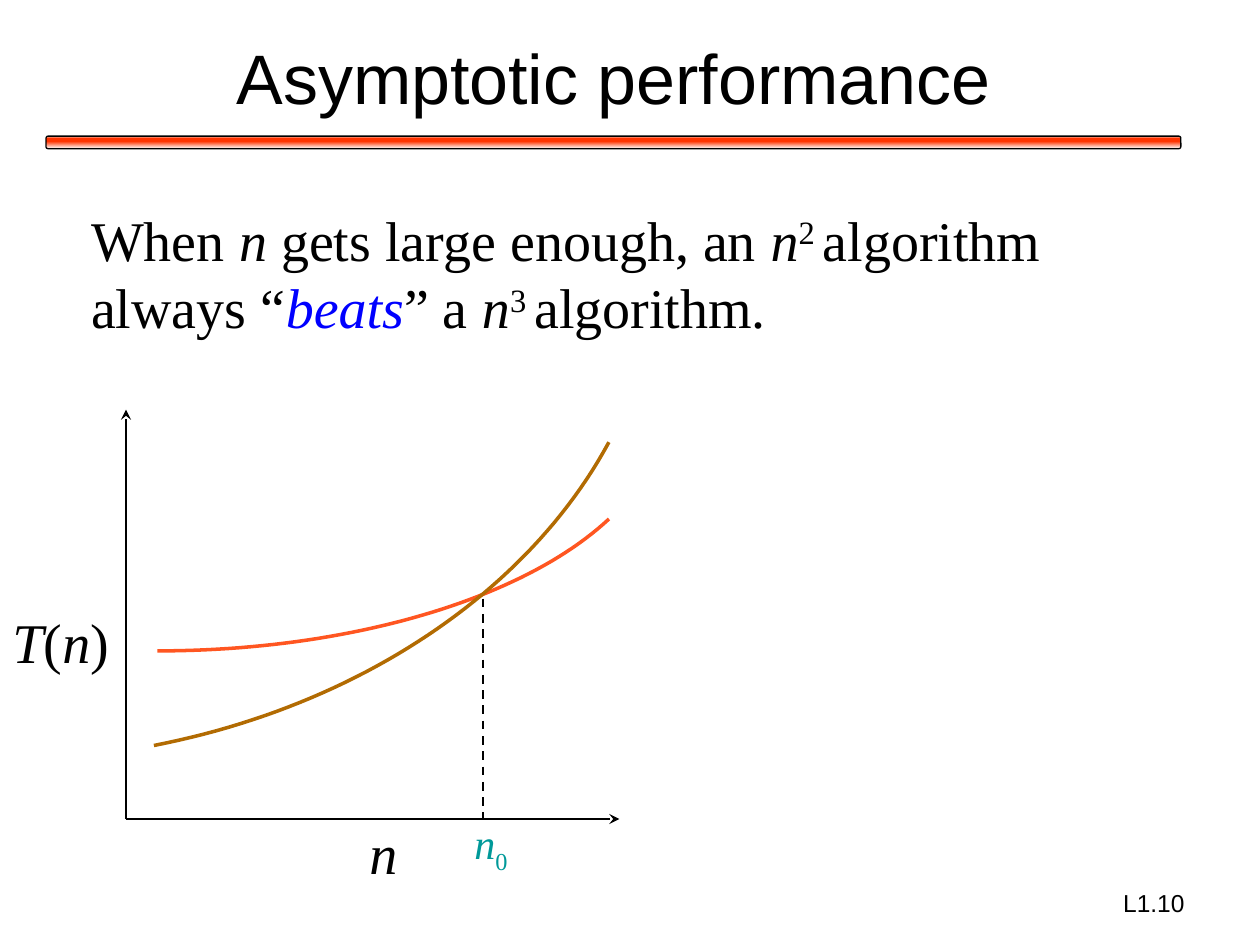
from dataclasses import dataclass

from lxml.etree import SubElement
from pptx import Presentation
from pptx.dml.color import RGBColor
from pptx.enum.dml import MSO_LINE
from pptx.enum.shapes import MSO_CONNECTOR, MSO_SHAPE
from pptx.enum.text import MSO_ANCHOR, PP_ALIGN
from pptx.oxml.ns import qn
from pptx.util import Pt


@dataclass(frozen=True)
class Theme:
    sans: str = "Arial"
    serif: str = "Times New Roman"
    ink: str = "000000"
    blue: str = "0000FF"
    teal: str = "009999"
    slow: str = "FF5621"
    fast: str = "B26B02"
    bar: tuple = ((0, "FFFFFF"), (16, "FF3300"), (42, "FF3300"), (100, "FFFFFF"))
    head: int = 40
    body: int = 32
    mark: int = 24
    foot: int = 14
    axis: float = 1.25
    curve: float = 2


THEME = Theme()
ITALIC = {"italic": True}
SUPER = {"base": 30}
SUB = {"base": -25}


def add_text(slide, box, runs, size, font=THEME.serif, color=THEME.ink,
             align=PP_ALIGN.LEFT, anchor=MSO_ANCHOR.TOP, wrap=True):
    """Place one paragraph; each run is a text and its format values."""
    frame = slide.shapes.add_textbox(*map(Pt, box)).text_frame
    frame.word_wrap = wrap
    frame.vertical_anchor = anchor
    para = frame.paragraphs[0]
    para.alignment = align
    for text, extra in runs:
        form = {"name": font, "size": Pt(size), "italic": False,
                "color": color, "base": 0, **extra}
        tint, base = form.pop("color"), form.pop("base")
        run = para.add_run()
        run.text = text
        for key, value in form.items():
            setattr(run.font, key, value)
        run.font.color.rgb = RGBColor.from_string(tint)
        if base:
            run.font._element.set("baseline", str(base * 1000))


def style_line(shape, color, width):
    shape.line.color.rgb = RGBColor.from_string(color)
    shape.line.width = Pt(width)


def add_line(slide, start, end, arrow=False, dash=False):
    line = slide.shapes.add_connector(
        MSO_CONNECTOR.STRAIGHT, *map(Pt, (*start, *end)))
    style_line(line, THEME.ink, THEME.axis)
    if dash:
        line.line.dash_style = MSO_LINE.DASH
    if arrow:
        SubElement(line.line._get_or_add_ln(), qn("a:tailEnd"), type="stealth")
    SubElement(line._element.spPr, qn("a:effectLst"))


def add_curve(slide, knots, color, steps=48):
    """Trace a cubic curve through short, equal steps of its parameter."""
    points = []
    for step in range(steps + 1):
        t = step / steps
        weights = ((1 - t) ** 3, 3 * t * (1 - t) ** 2, 3 * t * t * (1 - t), t ** 3)
        points.append(tuple(
            Pt(sum(w * k for w, k in zip(weights, axis))) for axis in zip(*knots)))
    path = slide.shapes.build_freeform(*points[0])
    path.add_line_segments(points[1:], close=False)
    shape = path.convert_to_shape()
    shape.shadow.inherit = False
    shape.fill.background()
    style_line(shape, color, THEME.curve)


def add_bar(slide, box):
    bar = slide.shapes.add_shape(MSO_SHAPE.ROUNDED_RECTANGLE, *map(Pt, box))
    bar.shadow.inherit = False
    bar.fill.gradient()
    bar.fill.gradient_angle = 270
    stops = bar._element.spPr.find(qn("a:gradFill")).find(qn("a:gsLst"))
    for stop in list(stops):
        stops.remove(stop)
    for place, color in THEME.bar:
        stop = SubElement(stops, qn("a:gs"), pos=str(place * 1000))
        SubElement(stop, qn("a:srgbClr"), val=color)
    style_line(bar, THEME.ink, 0.75)


def add_header(slide, box):
    left, top, width, height = box
    add_bar(slide, (left, top + height - 1.5, width, 7.2))
    add_text(slide, box, [("Asymptotic performance", {})], THEME.head, THEME.sans,
             align=PP_ALIGN.CENTER, anchor=MSO_ANCHOR.MIDDLE)


def add_claim(slide, box):
    add_text(slide, box, [
        ("When ", {}), ("n", ITALIC), (" gets large enough, an ", {}),
        ("n", ITALIC), ("2 ", SUPER), ("algorithm always “", {}),
        ("beats", {"color": THEME.blue, **ITALIC}), ("” a ", {}),
        ("n", ITALIC), ("3 ", SUPER), ("algorithm.", {}),
    ], THEME.body)


def add_graph(slide, box):
    """Draw the axes on the left and bottom edges of the box, then the curves."""
    left, top, width, height = box
    base = top + height
    cross = left + 204
    origin = (left, base)
    add_line(slide, origin, (left, top), arrow=True)
    add_line(slide, origin, (left + width, base), arrow=True)

    curves = (
        (THEME.slow, ((18, 96), (126.7, 96), (226.8, 125.3), (276, 171.4))),
        (THEME.fast, ((16, 42), (133.2, 64.8), (229.7, 129.6), (276, 215.3))),
    )
    for color, knots in curves:
        add_curve(slide, [(left + x, base - y) for x, y in knots], color)
    add_line(slide, (cross, base - 126), (cross, base), dash=True)

    labels = (
        ((left + 132, base - 3.6, 30, 45), [("n", ITALIC)], THEME.body, THEME.ink),
        ((left - 72, base - 124.5, 70, 45),
         [("T", ITALIC), ("(", {}), ("n", ITALIC), (")", {})],
         THEME.body, THEME.ink),
        ((cross - 12, base - 4.3, 34.5, 36), [("n", ITALIC), ("0", SUB)],
         THEME.mark, THEME.teal),
    )
    for place, runs, size, color in labels:
        add_text(slide, place, runs, size, color=color, wrap=False)


def add_footer(slide, box):
    add_text(slide, box, [("L1.10", {})], THEME.foot, THEME.sans,
             align=PP_ALIGN.RIGHT)


def main():
    deck = Presentation()
    deck.slide_width, deck.slide_height = Pt(720), Pt(540)
    slide = deck.slides.add_slide(deck.slide_layouts[6])
    add_header(slide, (26.3, 8, 648.5, 71.3))
    add_claim(slide, (45, 114, 630, 84))
    add_graph(slide, (72, 234, 282, 234))
    add_footer(slide, (516, 504, 168, 25))
    deck.save("out.pptx")


if __name__ == "__main__":
    main()
